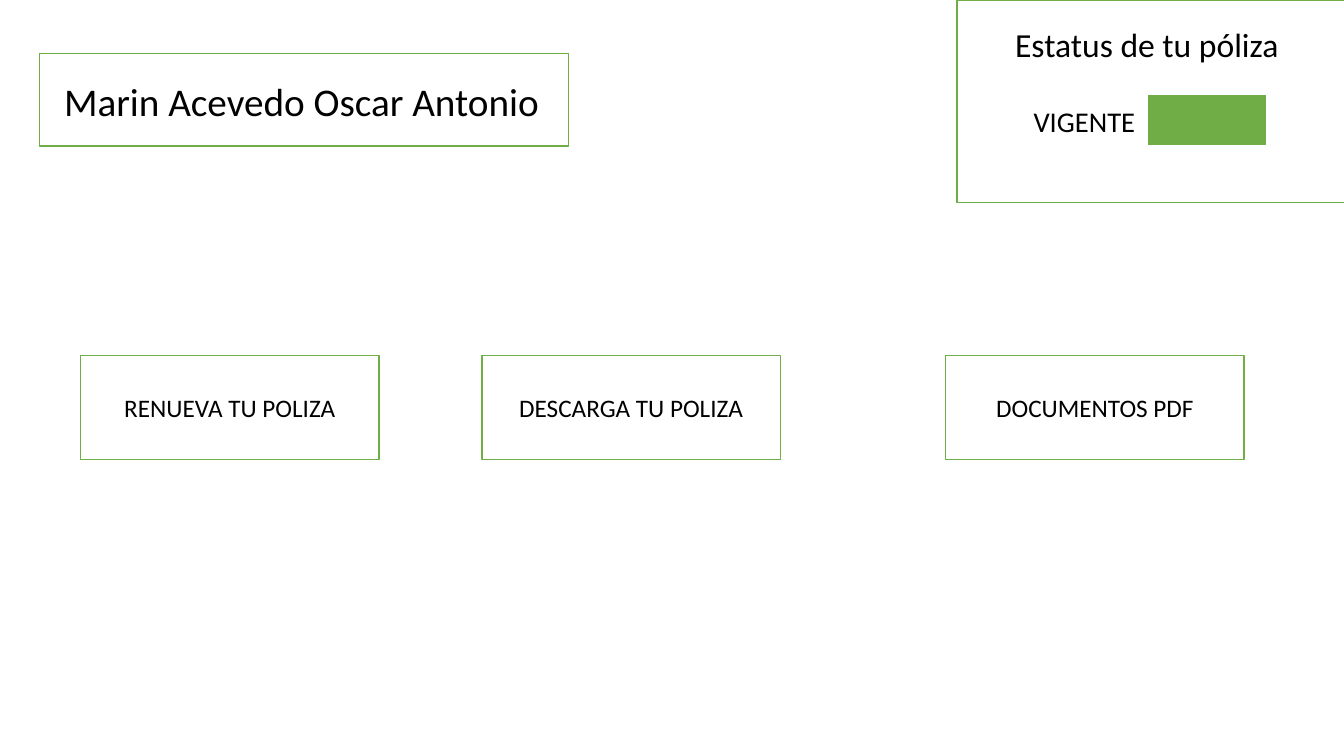
from dataclasses import dataclass

from pptx import Presentation
from pptx.dml.color import RGBColor
from pptx.enum.shapes import MSO_SHAPE
from pptx.enum.text import MSO_ANCHOR, MSO_AUTO_SIZE, PP_ALIGN
from pptx.util import Inches, Pt

RECTANGLE = MSO_SHAPE.RECTANGLE
CENTER = PP_ALIGN.CENTER
TOP, MIDDLE, BOTTOM = MSO_ANCHOR.TOP, MSO_ANCHOR.MIDDLE, MSO_ANCHOR.BOTTOM
NO_AUTOFIT = MSO_AUTO_SIZE.NONE


@dataclass(frozen=True)
class Theme:
    font: str = "Calibri"
    green: RGBColor = RGBColor(0x70, 0xAD, 0x47)
    white: RGBColor = RGBColor(0xFF, 0xFF, 0xFF)
    black: RGBColor = RGBColor(0, 0, 0)
    title_size: float = 28
    subtitle_size: float = 24
    status_size: float = 20.4
    button_size: float = 18


THEME = Theme()

HOLDER_NAME = "Marin Acevedo Oscar Antonio"
STATUS_HEADING = "Estatus de tu póliza"
STATUS = "VIGENTE"
NAME_FRAME = (0.39, 0.53, 5.25, 0.92)
STATUS_FRAME = (9.49, 0, 3.85, 2.01)
NAME_BOX = (0.49, 0.53, 5, 0.76)
HEADING_BOX = (9.33, 0.23, 4.09, 0.56)
STATUS_BOX = (8.76, 1.08, 3.99, 0.37)
STATUS_LIGHT = (11.38, 0.93, 1.19, 0.52)
BUTTONS = [
    ("RENUEVA TU POLIZA", 0.8),
    ("DESCARGA TU POLIZA", 4.78),
    ("DOCUMENTOS PDF", 9.38),
]
BUTTON_TOP, BUTTON_WIDTH, BUTTON_HEIGHT = 3.53, 2.96, 1.03


def add_rectangle(slide, box, fill, line, line_width):
    shape = slide.shapes.add_shape(RECTANGLE, *map(Inches, box))
    shape.shadow.inherit = False
    shape.fill.solid()
    shape.fill.fore_color.rgb = fill
    shape.line.color.rgb = line
    shape.line.width = Pt(line_width)
    return shape


def add_frame(slide, box):
    return add_rectangle(slide, box, THEME.white, THEME.green, 1)


def write_text(shape, text, size, anchor, line_spacing=1.0):
    frame = shape.text_frame
    frame.text = text
    frame.word_wrap = True
    frame.auto_size = NO_AUTOFIT
    frame.vertical_anchor = anchor
    paragraph = frame.paragraphs[0]
    paragraph.alignment = CENTER
    paragraph.line_spacing = line_spacing
    paragraph.space_before = Pt(0)
    paragraph.font.name = THEME.font
    paragraph.font.size = Pt(size)
    paragraph.font.color.rgb = THEME.black


def place_in_front(slide, placeholder, box):
    placeholder.left, placeholder.top, placeholder.width, placeholder.height = map(Inches, box)
    slide.shapes._spTree.append(placeholder._element)


def main():
    presentation = Presentation()
    presentation.slide_width = Inches(13.33)
    presentation.slide_height = Inches(7.5)
    slide = presentation.slides.add_slide(presentation.slide_layouts[0])

    add_frame(slide, NAME_FRAME)
    add_frame(slide, STATUS_FRAME)

    title, subtitle = slide.shapes.title, slide.placeholders[1]
    place_in_front(slide, title, NAME_BOX)
    write_text(title, HOLDER_NAME, THEME.title_size, BOTTOM, 0.9)
    place_in_front(slide, subtitle, HEADING_BOX)
    write_text(subtitle, STATUS_HEADING, THEME.subtitle_size, TOP, 0.9)

    status = slide.shapes.add_textbox(*map(Inches, STATUS_BOX))
    write_text(status, STATUS, THEME.status_size, TOP, 0.7)
    add_rectangle(slide, STATUS_LIGHT, THEME.green, THEME.white, 1.5)

    for label, left in BUTTONS:
        button = add_frame(slide, (left, BUTTON_TOP, BUTTON_WIDTH, BUTTON_HEIGHT))
        write_text(button, label, THEME.button_size, MIDDLE)

    presentation.save("out.pptx")


if __name__ == "__main__":
    main()
